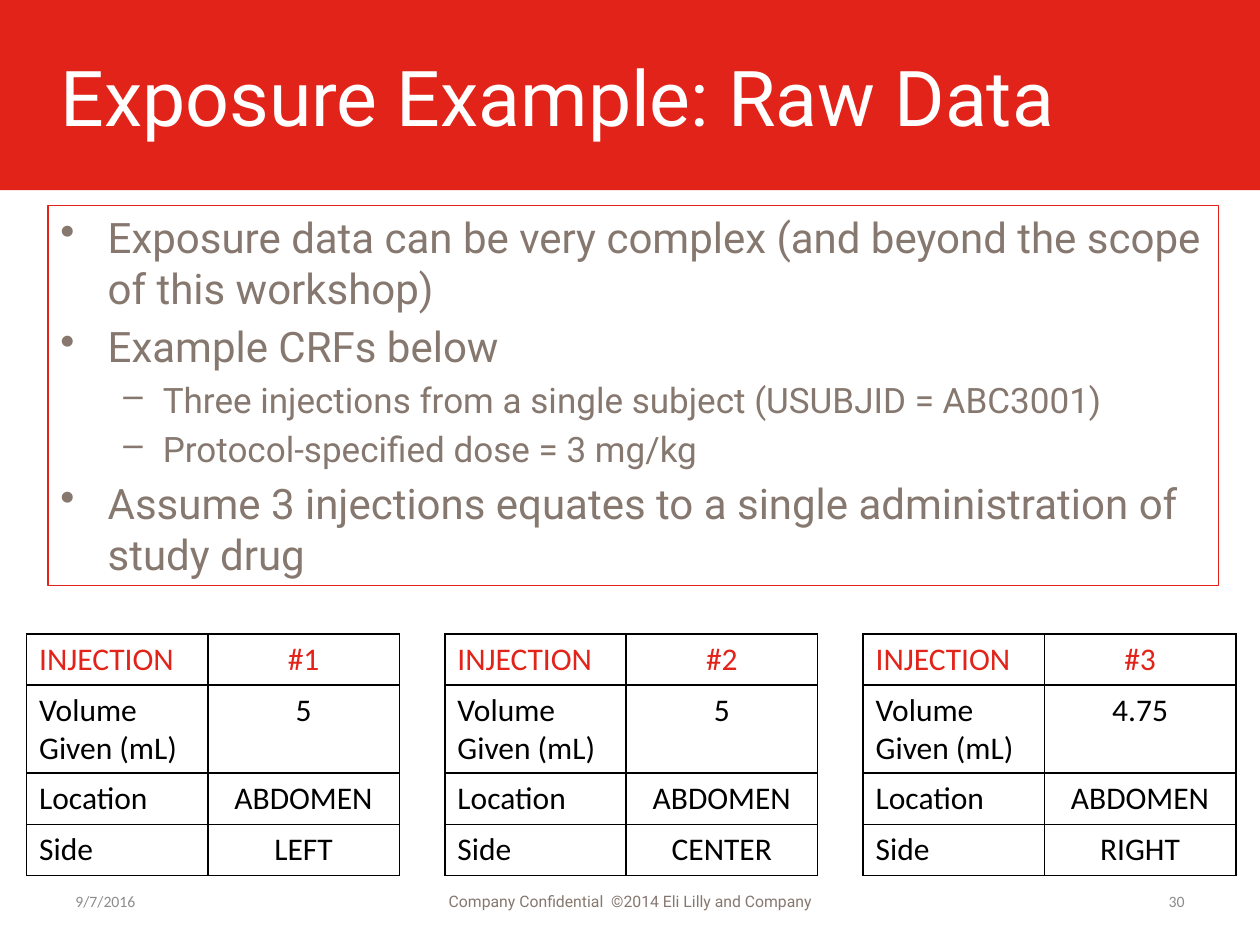
from lxml import etree
from pptx import Presentation
from pptx import util as u
from pptx.dml.color import RGBColor
from pptx.enum import shapes, text
from pptx.oxml.ns import qn

COLORS = {"red": "E2231A", "white": "FFFFFF", "taupe": "86786F",
          "grey": "8C8C8C", "black": "000000"}
LEFT, CENTER, RIGHT = text.PP_ALIGN.LEFT, text.PP_ALIGN.CENTER, text.PP_ALIGN.RIGHT
MIDDLE, TOP = text.MSO_ANCHOR.MIDDLE, text.MSO_ANCHOR.TOP


class SlideBuilder:
    heading_font = "Roboto"
    table_font = "Calibri"

    def __init__(self, page):
        self.page = page

    def color(self, name):
        return RGBColor.from_string(COLORS[name])

    def style(self, para, size, font, color, align=LEFT):
        para.alignment = align
        para.font.size = u.Pt(size)
        para.font.name = font
        para.font.color.rgb = self.color(color)

    def band(self, left, top, width, height, color):
        band = self.page.shapes.add_shape(
            shapes.MSO_SHAPE.RECTANGLE, *map(u.Pt, (left, top, width, height)))
        band.shadow.inherit = False
        band.fill.solid()
        band.fill.fore_color.rgb = self.color(color)
        band.line.fill.background()

    def box(self, left, top, width, height, anchor=MIDDLE):
        box = self.page.shapes.add_textbox(*map(u.Pt, (left, top, width, height)))
        box.text_frame.word_wrap = True
        box.text_frame.vertical_anchor = anchor
        return box

    def label(self, left, top, width, height, words, size, font, color, align=LEFT):
        box = self.box(left, top, width, height)
        para = box.text_frame.paragraphs[0]
        para.text = words
        self.style(para, size, font, color, align)
        return box

    def bullets(self, left, top, width, height, items, line_color):
        # Per level: bullet, text size, left margin, hanging indent
        levels = [("•", 24, 27, -27), ("–", 20, 58.5, -22.5)]
        box = self.box(left, top, width, height, TOP)
        box.line.color.rgb = self.color(line_color)
        box.line.width = u.Pt(0.75)
        frame = box.text_frame
        for index, (level, words) in enumerate(items):
            mark, size, margin, indent = levels[level]
            para = frame.add_paragraph() if index else frame.paragraphs[0]
            para.text = words
            para.level = level
            if index:
                para.space_before = u.Pt(size * 0.2)
            props = para._p.get_or_add_pPr()
            props.set("marL", str(u.Pt(margin)))
            props.set("indent", str(u.Pt(indent)))
            etree.SubElement(props, qn("a:buChar")).set("char", mark)
            self.style(para, size, self.heading_font, "taupe")

    def border(self, cell):
        props = cell._tc.get_or_add_tcPr()
        for position, side in enumerate(("a:lnL", "a:lnR", "a:lnT", "a:lnB")):
            line = etree.Element(qn(side), w=str(u.Pt(1)))
            fill = etree.SubElement(line, qn("a:solidFill"))
            etree.SubElement(fill, qn("a:srgbClr"), val=COLORS["black"])
            props.insert(position, line)

    def table(self, left, top, widths, row_height, rows):
        table = self.page.shapes.add_table(
            len(rows), len(widths), u.Pt(left), u.Pt(top),
            u.Pt(sum(widths)), u.Pt(row_height * len(rows))).table
        table.horz_banding = False
        table.first_row = False
        for column, width in zip(table.columns, widths):
            column.width = u.Pt(width)
        for r, row in enumerate(rows):
            table.rows[r].height = u.Pt(row_height)
            for c, words in enumerate(row):
                cell = table.cell(r, c)
                cell.fill.background()
                self.border(cell)
                para = cell.text_frame.paragraphs[0]
                para.text = words
                self.style(para, 18, self.table_font,
                           "black" if r else "red", CENTER if c else LEFT)


def main():
    deck = Presentation()
    deck.slide_width, deck.slide_height = u.Pt(720), u.Pt(540)
    slide = SlideBuilder(deck.slides.add_slide(deck.slide_layouts[6]))

    # Title band
    slide.band(0, 0, 720, 108.7, "red")
    title = slide.label(27.4, 9.4, 669, 90, "Exposure Example: Raw Data",
                        44, "Roboto", "white")
    frame = title.text_frame
    frame.margin_left = frame.margin_right = u.Pt(7.2)
    frame.margin_top = frame.margin_bottom = u.Pt(7.2)

    # Body text
    slide.bullets(27.4, 117.4, 669, 217.4, [
        (0, "Exposure data can be very complex (and beyond the scope of this workshop)"),
        (0, "Example CRFs below"),
        (1, "Three injections from a single subject (USUBJID = ABC3001)"),
        (1, "Protocol-specified dose = 3 mg/kg"),
        (0, "Assume 3 injections equates to a single administration of study drug"),
    ], "red")

    # Footer
    slide.label(36, 500.5, 168, 28.8, "9/7/2016", 9, "Calibri", "grey")
    slide.label(246, 500.5, 228, 28.8,
                "Company Confidential  ©2014 Eli Lilly and Company",
                9, "Roboto", "taupe", CENTER)
    slide.label(516, 500.5, 168, 28.8, "30", 9, "Calibri", "grey", RIGHT)

    # One table per injection
    injections = [("5", "LEFT"), ("5", "CENTER"), ("4.75", "RIGHT")]
    for index, (volume, side) in enumerate(injections):
        slide.table(15.2 + index * 239, 362.2, (103.6, 109.4), 29.2, [
            ("INJECTION", f"#{index + 1}"),
            ("Volume Given (mL)", volume),
            ("Location", "ABDOMEN"),
            ("Side", side),
        ])

    deck.save("out.pptx")


if __name__ == "__main__":
    main()
